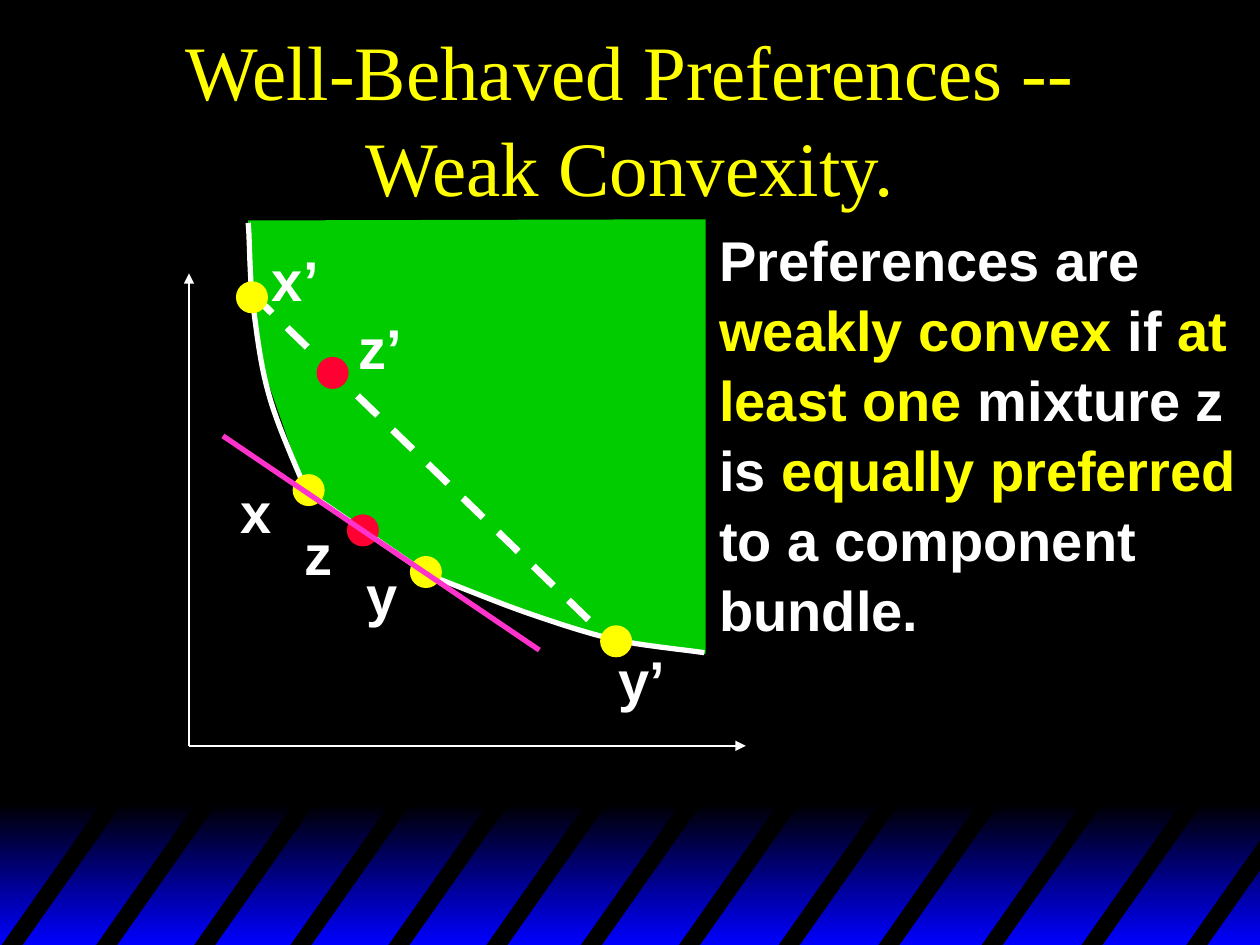
from lxml.etree import SubElement
from pptx import Presentation
from pptx.dml.color import RGBColor
from pptx.enum.dml import MSO_LINE
from pptx.enum.shapes import MSO_CONNECTOR, MSO_SHAPE
from pptx.enum.text import MSO_ANCHOR, PP_ALIGN
from pptx.oxml.ns import qn
from pptx.util import Pt

BLACK = RGBColor(0x00, 0x00, 0x00)
BLUE = RGBColor(0x00, 0x00, 0xFF)
WHITE = RGBColor(0xFF, 0xFF, 0xFF)
YELLOW = RGBColor(0xFF, 0xFF, 0x00)
GREEN = RGBColor(0x00, 0xCC, 0x00)
RED = RGBColor(0xFF, 0x00, 0x33)
PINK = RGBColor(0xFF, 0x33, 0xCC)

TITLE_FONT = {"name": "Times New Roman", "size": Pt(44)}
BODY_FONT = {"name": "Arial", "size": Pt(32), "bold": True}

# All diagram positions are points from the top left of the diagram box.
STEEP_CURVE = [(33.8, 2.4), (34.6, 8.9), (34.6, 28.4), (36, 44.2),
               (38.2, 60.8), (40.3, 81.6), (45.4, 99.6),
               (50.4, 118.4), (62.6, 144.3), (67, 155.8)]
FLAT_CURVE = [(133.9, 202.6), (144.7, 206.2), (177.1, 219.9), (196.6, 226.4),
              (215.3, 232.8), (231.1, 237.9), (247.7, 241.5),
              (263.5, 244.4), (284.4, 246.5), (294.5, 248)]
PREFERRED_SET = [(33.8, 3.2), (35.3, 44.2), (41.8, 83.8), (67, 155.8),
                 (135.4, 202.6), (192.2, 224.9), (244, 240.8),
                 (295.2, 248.7), (295.2, 0.3), (33.8, 1)]
# name, dot centre, dot colour, label corner
BUNDLES = [("x’", (36, 44.9), YELLOW, (40.3, 10.4)),
           ("y’", (244.1, 241.5), YELLOW, (238.3, 238.6)),
           ("z’", (82.1, 88.1), RED, (90, 49.2)),
           ("x", (68.4, 155.1), YELLOW, (22.3, 142.8)),
           ("z", (99.4, 178.1), RED, (59, 166.6)),
           ("y", (135.4, 201.9), YELLOW, (94.3, 190.4))]
DOT_SIZE = 17.3
STRIPE_STARTS = [1, 55, 111, 166, 222, 278, 332, 388, 445, 502, 561, 618, 678]
STRIPE_WIDTH, STRIPE_RUN = 12, 57


def add_text(slide, box, runs, font_format, anchor=MSO_ANCHOR.TOP, align=PP_ALIGN.LEFT):
    """Add one paragraph made of (text, colour) runs."""
    frame = slide.shapes.add_textbox(*map(Pt, box)).text_frame
    frame.word_wrap = True
    frame.vertical_anchor = anchor
    paragraph = frame.paragraphs[0]
    paragraph.alignment = align
    paragraph.line_spacing = 1.04
    for text, colour in runs:
        run = paragraph.add_run()
        run.text = text
        for name, value in font_format.items():
            setattr(run.font, name, value)
        run.font.color.rgb = colour


def add_outline(slide, points, fill=None, line=None):
    """Add a filled closed shape, or an open line when there is no fill."""
    points = [(Pt(x), Pt(y)) for x, y in points]
    builder = slide.shapes.build_freeform(*points[0])
    builder.add_line_segments(points[1:], close=fill is not None)
    shape = builder.convert_to_shape()
    shape.shadow.inherit = False
    if fill is None:
        shape.fill.background()
    else:
        shape.fill.solid()
        shape.fill.fore_color.rgb = fill
    if line is None:
        shape.line.fill.background()
    else:
        shape.line.color.rgb = line
        shape.line.width = Pt(3)


def add_line(slide, start, end, colour, width, dash=None, arrow=False):
    connector = slide.shapes.add_connector(MSO_CONNECTOR.STRAIGHT, *map(Pt, (*start, *end)))
    connector.line.color.rgb = colour
    connector.line.width = Pt(width)
    if dash:
        connector.line.dash_style = dash
    if arrow:
        SubElement(connector.line._get_or_add_ln(), qn("a:tailEnd"), type="triangle")
    SubElement(connector._element.spPr, qn("a:effectLst"))


def add_dot(slide, centre, colour):
    left, top = (value - DOT_SIZE / 2 for value in centre)
    dot = slide.shapes.add_shape(MSO_SHAPE.OVAL, *map(Pt, (left, top, DOT_SIZE, DOT_SIZE)))
    dot.shadow.inherit = False
    dot.fill.solid()
    dot.fill.fore_color.rgb = colour
    dot.line.color.rgb = colour
    dot.line.width = Pt(1)


def sample_curve(controls, steps=12):
    """Return points along a chain of cubic Bezier segments."""
    points = [controls[0]]
    for first in range(0, len(controls) - 1, 3):
        segment = controls[first:first + 4]
        for step in range(1, steps + 1):
            t = step / steps
            weights = ((1 - t) ** 3, 3 * t * (1 - t) ** 2, 3 * t ** 2 * (1 - t), t ** 3)
            points.append(tuple(sum(w * v for w, v in zip(weights, axis))
                                for axis in zip(*segment)))
    return points


def add_striped_band(slide, box):
    left, top, width, height = box
    right, bottom = left + width, top + height
    band = slide.shapes.add_shape(MSO_SHAPE.RECTANGLE, *map(Pt, box))
    band.shadow.inherit = False
    band.line.fill.background()
    band.fill.gradient()
    band.fill.gradient_angle = 270
    for stop, colour, position in zip(band.fill.gradient_stops, (BLACK, BLUE), (0, 1)):
        stop.color.rgb = colour
        stop.position = position
    for start in STRIPE_STARTS:
        x = left + start
        run = min(STRIPE_RUN, right - x)
        far = min(x + run + STRIPE_WIDTH, right)
        far_top = bottom - height * (far - x - STRIPE_WIDTH) / STRIPE_RUN
        add_outline(slide, [(x, bottom), (x + run, bottom - height * run / STRIPE_RUN),
                            (far, far_top), (x + STRIPE_WIDTH, bottom)], fill=BLACK)


def add_indifference_diagram(slide, box):
    left, top, width, height = box

    def place(*points):
        return [(left + x, top + y) for x, y in points]

    add_outline(slide, place(*PREFERRED_SET), fill=GREEN)
    for end in ((0, 31.2), (width, height)):
        add_line(slide, *place((0, height), end), WHITE, 1, arrow=True)
    add_line(slide, *place((36, 42.8), (244.1, 244.4)), WHITE, 4, dash=MSO_LINE.DASH)
    for controls in (STEEP_CURVE, FLAT_CURVE):
        add_outline(slide, place(*sample_curve(controls)), line=WHITE)
    add_line(slide, *place((67, 155.8), (135.4, 202.6)), WHITE, 3)
    for name, centre, colour, corner in BUNDLES:
        add_dot(slide, *place(centre), colour)
        label_width = 42 if len(name) > 1 else 33
        add_text(slide, (*place(corner)[0], label_width, 45), [(name, WHITE)], BODY_FONT)
    add_line(slide, *place((19.4, 124.1), (200.2, 246.5)), PINK, 3)


def main():
    presentation = Presentation()
    presentation.slide_width, presentation.slide_height = Pt(720), Pt(540)
    slide = presentation.slides.add_slide(presentation.slide_layouts[6])
    slide.background.fill.solid()
    slide.background.fill.fore_color.rgb = BLACK
    add_striped_band(slide, (0, 459, 720, 81))
    add_indifference_diagram(slide, (108, 125, 318.2, 301.2))
    add_text(slide, (54, 18, 612, 96),
             [("Well-Behaved Preferences -- Weak Convexity.", YELLOW)], TITLE_FONT,
             MSO_ANCHOR.MIDDLE, PP_ALIGN.CENTER)
    add_text(slide, (404, 124, 324.5, 237.6),
             [("Preferences are ", WHITE), ("weakly convex", YELLOW), (" if ", WHITE),
              ("at least one ", YELLOW), ("mixture z is ", WHITE),
              ("equally preferred", YELLOW), (" to a component bundle.", WHITE)], BODY_FONT)
    presentation.save("out.pptx")


if __name__ == "__main__":
    main()
